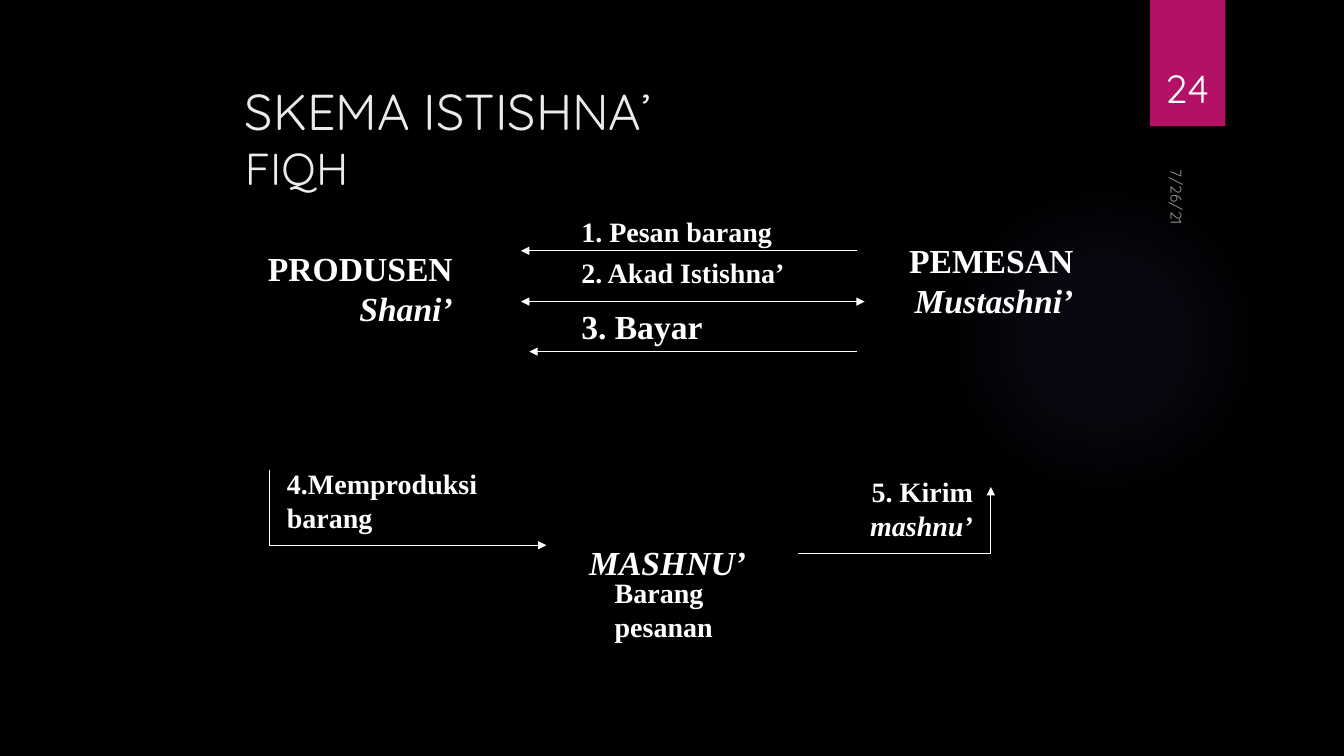
from dataclasses import dataclass
from typing import NamedTuple

from lxml.etree import SubElement
from pptx import Presentation
from pptx.dml.color import RGBColor
from pptx.enum.shapes import MSO_CONNECTOR, MSO_SHAPE
from pptx.enum.text import MSO_ANCHOR, MSO_AUTO_SIZE, PP_ALIGN
from pptx.oxml import parse_xml
from pptx.oxml.ns import nsdecls, qn
from pptx.util import Cm, Pt


@dataclass(frozen=True)
class Theme:
    background: str = "000000"
    accent: str = "B31166"
    glow: str = "9B6BF2"
    title: str = "EBEBEB"
    text: str = "FFFFFF"
    heading_font: str = "Quicksand"
    body_font: str = "Times New Roman"
    title_size: int = 36
    subtitle_size: int = 32
    number_size: int = 28
    actor_size: int = 24
    step_size: int = 20
    date_size: int = 11
    line_width: float = 0.75


THEME = Theme()


class Box(NamedTuple):
    left: float
    top: float
    width: float
    height: float


class Span(NamedTuple):
    text: str
    italic: bool = False


class Label(NamedTuple):
    box: Box
    spans: tuple[Span, ...]
    size: int = THEME.step_size
    align: PP_ALIGN = PP_ALIGN.LEFT


class Line(NamedTuple):
    x1: float
    y1: float
    x2: float
    y2: float
    ends: tuple[str, ...] = ()


ARROW = ("tailEnd",)
BOTH = ("headEnd", "tailEnd")
STEP_LEFT = 14.4

LABELS = (
    Label(Box(14.6, 13.54, 4.88, 1.27), (Span("MASHNU’", True),), THEME.actor_size),
    Label(Box(15.24, 14.38, 3.81, 1.96), (Span("Barang pesanan"),)),
    Label(Box(6.98, 11.63, 5.38, 1.96), (Span("4.Memproduksi barang"),)),
    Label(Box(6.15, 6.12, 5.51, 2.31), (Span("PRODUSEN "), Span("Shani’", True)),
          THEME.actor_size, PP_ALIGN.RIGHT),
    Label(Box(22.02, 5.92, 5.28, 2.31), (Span("PEMESAN "), Span("Mustashni’", True)),
          THEME.actor_size, PP_ALIGN.RIGHT),
    Label(Box(STEP_LEFT, 5.28, 7.42, 1.09), (Span("1. Pesan barang"),)),
    Label(Box(STEP_LEFT, 6.32, 7.19, 1.09), (Span("2. Akad Istishna’"),)),
    Label(Box(STEP_LEFT, 7.59, 6.35, 1.27), (Span("3. Bayar"),), THEME.actor_size),
    Label(Box(21.59, 11.84, 3.18, 1.96), (Span("5. Kirim "), Span("mashnu’", True)),
          THEME.step_size, PP_ALIGN.RIGHT),
)

LINES = (
    Line(21.59, 6.32, 13.13, 6.32, ARROW),
    Line(21.79, 7.6, 13.13, 7.6, BOTH),
    Line(21.59, 8.86, 13.34, 8.86, ARROW),
    Line(6.78, 11.84, 6.78, 13.74),
    Line(6.78, 13.74, 13.77, 13.74, ARROW),
    Line(21.16, 13.54, 21.16, 13.54),
    Line(24.97, 13.94, 24.97, 12.27, ARROW),
    Line(20.12, 13.94, 24.97, 13.94),
)


def add_text(s, box: Box, align: PP_ALIGN = PP_ALIGN.LEFT, **frame):
    sp = s.shapes.add_textbox(*map(Cm, box))
    tf = sp.text_frame
    for name, value in {"word_wrap": True, **frame}.items():
        setattr(tf, name, value)
    p = tf.paragraphs[0]
    p.alignment = align
    return sp, p


def add_run(p, text: str, size: int, color: str, font: str, **style):
    r = p.add_run()
    r.text = text
    for name, value in {"name": font, "size": Pt(size), **style}.items():
        setattr(r.font, name, value)
    r.font.color.rgb = RGBColor.from_string(color)
    return r


def add_label(s, label: Label) -> None:
    _, p = add_text(s, label.box, label.align, auto_size=MSO_AUTO_SIZE.SHAPE_TO_FIT_TEXT)
    for span in label.spans:
        add_run(p, span.text, label.size, THEME.text, THEME.body_font,
                bold=True, italic=span.italic)


def add_line(s, line: Line) -> None:
    cn = s.shapes.add_connector(MSO_CONNECTOR.STRAIGHT, *map(Cm, line[:4]))
    cn.line.color.rgb = RGBColor.from_string(THEME.text)
    cn.line.width = Pt(THEME.line_width)
    spPr = cn._element.spPr
    ln = spPr.find(qn("a:ln"))
    for end in line.ends:
        SubElement(ln, qn(f"a:{end}"), type="triangle")
    SubElement(spPr, qn("a:effectLst"))


def add_plain_shape(s, kind: MSO_SHAPE, box: Box):
    sp = s.shapes.add_shape(kind, *map(Cm, box))
    sp.shadow.inherit = False
    sp.line.fill.background()
    return sp


def add_glow(s) -> None:
    sp = add_plain_shape(s, MSO_SHAPE.OVAL, Box(23.9, 4.65, 7.82, 7.82))
    stops = "".join(
        f'<a:gs pos="{pos * 1000}"><a:srgbClr val="{THEME.glow}">'
        f'<a:alpha val="{alpha * 1000}"/></a:srgbClr></a:gs>'
        for pos, alpha in ((0, 7), (36, 6), (69, 0))
    )
    sp._element.spPr.insert(2, parse_xml(
        f'<a:gradFill {nsdecls("a")}><a:gsLst>{stops}</a:gsLst><a:path path="circle">'
        '<a:fillToRect l="50000" t="50000" r="50000" b="50000"/></a:path></a:gradFill>'
    ))


def add_heading(s) -> None:
    _, p = add_text(s, Box(5.92, 1.9, 21.6, 3.12))
    add_run(p, "SKEMA ISTISHNA’", THEME.title_size, THEME.title, THEME.heading_font)
    p.add_line_break()
    add_run(p, "FIQH", THEME.subtitle_size, THEME.title, THEME.heading_font)


def add_date(s) -> None:
    sp, p = add_text(s, Box(28.22, 4.98, 2.74, 0.84))
    sp.rotation = 90
    r = add_run(p, "7/26/21", THEME.date_size, THEME.text, THEME.heading_font)
    SubElement(r._r.rPr.find(".//" + qn("a:srgbClr")), qn("a:alpha"), val="60000")


def add_number(s) -> None:
    _, p = add_text(s, Box(28.75, 0.81, 2.34, 2.13), PP_ALIGN.CENTER,
                    vertical_anchor=MSO_ANCHOR.BOTTOM)
    add_run(p, "24", THEME.number_size, THEME.text, THEME.heading_font)


def main() -> None:
    prs = Presentation()
    prs.slide_width, prs.slide_height = Cm(33.87), Cm(19.05)
    s = prs.slides.add_slide(prs.slide_layouts[6])
    s.background.fill.solid()
    s.background.fill.fore_color.rgb = RGBColor.from_string(THEME.background)
    add_glow(s)
    ribbon = add_plain_shape(s, MSO_SHAPE.RECTANGLE, Box(28.98, 0, 1.9, 3.18))
    ribbon.fill.solid()
    ribbon.fill.fore_color.rgb = RGBColor.from_string(THEME.accent)
    add_heading(s)
    for label in LABELS:
        add_label(s, label)
    for line in LINES:
        add_line(s, line)
    add_date(s)
    add_number(s)
    prs.save("out.pptx")


if __name__ == "__main__":
    main()
